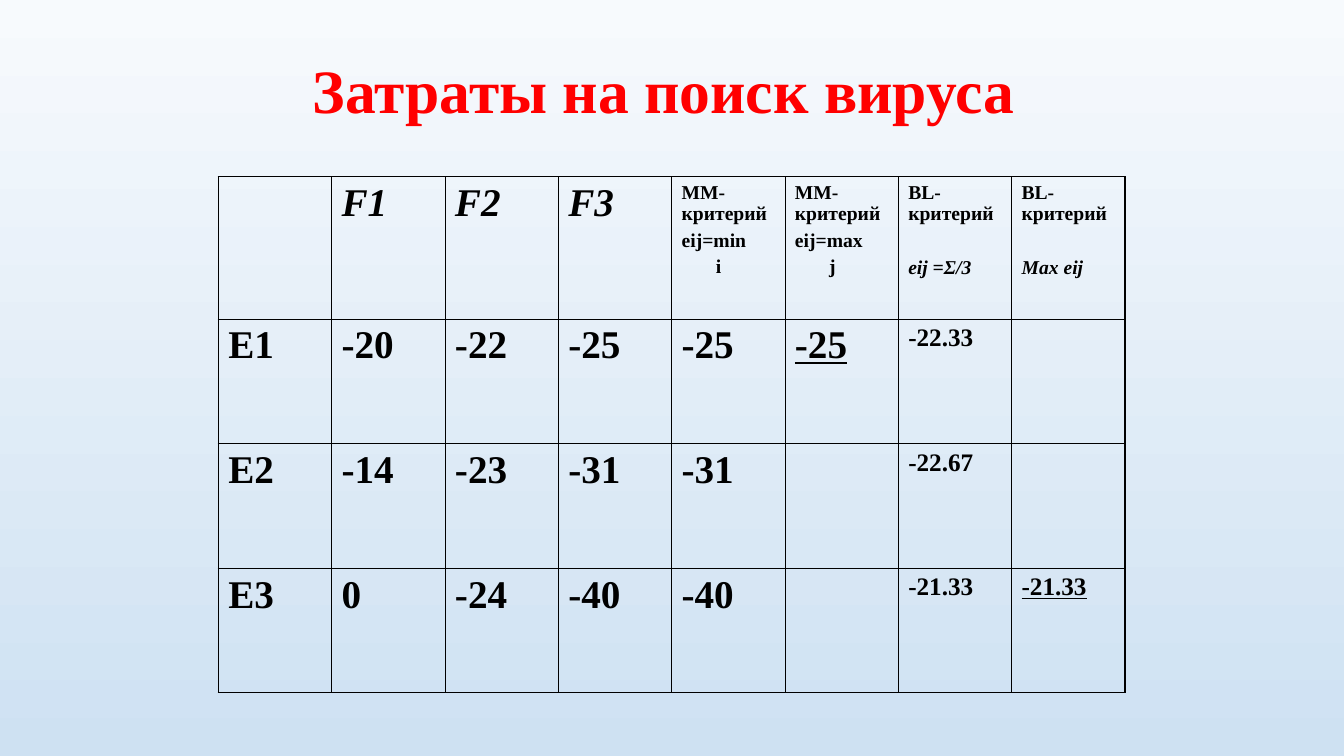
from dataclasses import dataclass

import pptx
import pptx.dml.color
import pptx.enum.text
import pptx.oxml
import pptx.oxml.ns
import pptx.slide
import pptx.table
import pptx.text.text
import pptx.util

Pt = pptx.util.Pt
RGBColor = pptx.dml.color.RGBColor

BLACK = RGBColor(0, 0, 0)
RED = RGBColor(0xFF, 0, 0)
SKY_TOP = RGBColor(0xF7, 0xFA, 0xFD)
SKY_BOTTOM = RGBColor(0xCE, 0xE1, 0xF2)
FONT_NAME = "Times New Roman"
OUTER_WIDTH, INNER_WIDTH = 1.08, 0.45
COLUMN_WIDTH = 81
ROW_HEIGHTS = (101.6, 89, 89, 89)


@dataclass(frozen=True)
class Line:
    text: str
    size: float
    italic: bool = False
    underline: bool = False
    space_before: float = 0
    indent: float = 0
    color: RGBColor = BLACK


def state(name: str) -> list[Line]:
    return [Line(name, 28, italic=True)]


def minimax(formula: str, index: str) -> list[Line]:
    return [
        Line("ММ-критерий", 14),
        Line(formula, 14, space_before=3.5),
        Line(index, 14, space_before=3.5, indent=24.5),
    ]


def bayes_laplace(formula: str) -> list[Line]:
    return [Line("BL-критерий", 14), Line(formula, 14, italic=True, space_before=23)]


def cost(text: str, underline: bool = False) -> list[Line]:
    return [Line(text, 28, underline=underline)]


def mean(text: str, underline: bool = False) -> list[Line]:
    return [Line(text, 18, underline=underline)]


COSTS = [
    [[], state("F1"), state("F2"), state("F3"),
     minimax("eij=min", "i"), minimax("eij=max", "j"),
     bayes_laplace("eij =Σ/3"), bayes_laplace("Max eij")],
    [*map(cost, ("Е1", "-20", "-22", "-25", "-25")), cost("-25", True), mean("-22.33"), []],
    [*map(cost, ("Е2", "-14", "-23", "-31", "-31")), [], mean("-22.67"), []],
    [*map(cost, ("Е3", "0", "-24", "-40", "-40")), [], mean("-21.33"), mean("-21.33", True)],
]


def write_line(paragraph: pptx.text.text._Paragraph, line: Line) -> None:
    if line.space_before:
        paragraph.space_before = Pt(line.space_before)
    if line.indent:
        paragraph._p.get_or_add_pPr().set("marL", str(Pt(line.indent)))
    run = paragraph.add_run()
    run.text = line.text
    run.font.name = FONT_NAME
    run.font.size = Pt(line.size)
    run.font.bold = True
    run.font.italic = line.italic
    run.font.underline = line.underline
    run.font.color.rgb = line.color


def set_borders(cell: pptx.table._Cell, outer_sides: dict[str, bool]) -> None:
    properties = cell._tc.get_or_add_tcPr()
    for position, (side, is_outer) in enumerate(outer_sides.items()):
        width = Pt(OUTER_WIDTH if is_outer else INNER_WIDTH)
        border = pptx.oxml.parse_xml(
            f'<a:{side} {pptx.oxml.ns.nsdecls("a")} w="{width}">'
            f'<a:solidFill><a:srgbClr val="{BLACK}"/></a:solidFill></a:{side}>'
        )
        properties.insert(position, border)


def add_title(slide: pptx.slide.Slide) -> None:
    shape = slide.shapes.add_textbox(Pt(48), Pt(21.6), Pt(864), Pt(90))
    frame = shape.text_frame
    frame.word_wrap = True
    frame.vertical_anchor = pptx.enum.text.MSO_ANCHOR.MIDDLE
    paragraph = frame.paragraphs[0]
    paragraph.alignment = pptx.enum.text.PP_ALIGN.CENTER
    paragraph.line_spacing = 0.9
    write_line(paragraph, Line("Затраты на поиск вируса ", 44, color=RED))


def add_cost_table(slide: pptx.slide.Slide) -> None:
    row_count, column_count = len(COSTS), len(COSTS[0])
    table = slide.shapes.add_table(
        row_count, column_count, Pt(156), Pt(126.2),
        Pt(COLUMN_WIDTH * column_count), Pt(sum(ROW_HEIGHTS)),
    ).table
    table.first_row = False
    table.horz_banding = False
    for column in table.columns:
        column.width = Pt(COLUMN_WIDTH)
    for row, height in zip(table.rows, ROW_HEIGHTS):
        row.height = Pt(height)
    for row_index, row_lines in enumerate(COSTS):
        for column_index, lines in enumerate(row_lines):
            cell = table.cell(row_index, column_index)
            cell.fill.background()
            set_borders(cell, {
                "lnL": column_index == 0,
                "lnR": column_index == column_count - 1,
                "lnT": row_index == 0,
                "lnB": row_index == row_count - 1,
            })
            frame = cell.text_frame
            for line_index, line in enumerate(lines):
                paragraph = frame.add_paragraph() if line_index else frame.paragraphs[0]
                write_line(paragraph, line)


def set_background(slide: pptx.slide.Slide) -> None:
    fill = slide.background.fill
    fill.gradient()
    fill.gradient_angle = 270
    for stop, color in zip(fill.gradient_stops, (SKY_TOP, SKY_BOTTOM)):
        stop.color.rgb = color


def main() -> None:
    presentation = pptx.Presentation()
    presentation.slide_width = Pt(960.5)
    presentation.slide_height = Pt(540)
    slide = presentation.slides.add_slide(presentation.slide_layouts[6])
    set_background(slide)
    add_title(slide)
    add_cost_table(slide)
    presentation.save("out.pptx")


if __name__ == "__main__":
    main()
